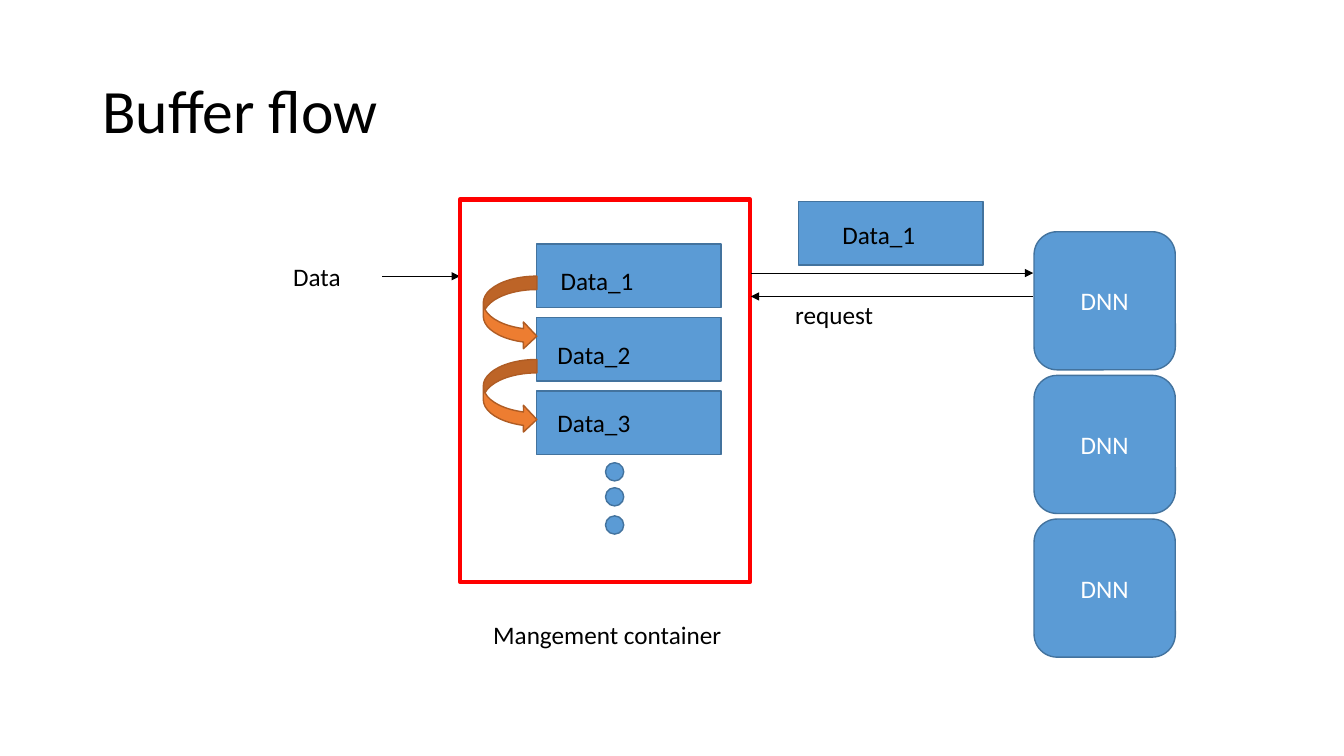
"""Build the buffer flow slide."""
from lxml import etree
from pptx import Presentation
from pptx.dml.color import RGBColor
from pptx.enum import shapes, text
from pptx.oxml.ns import qn
from pptx.util import Cm, Pt

BLACK = RGBColor(0x00, 0x00, 0x00)
WHITE = RGBColor(0xFF, 0xFF, 0xFF)
RED = RGBColor(0xFF, 0x00, 0x00)
BLUE = RGBColor(0x5B, 0x9B, 0xD5)
DARK_BLUE = RGBColor(0x43, 0x73, 0x9E)
ORANGE = RGBColor(0xED, 0x7D, 0x31)
DARK_ORANGE = RGBColor(0xAF, 0x5C, 0x24)
SHAPE = shapes.MSO_SHAPE
BOX_W, BOX_H = 4.65, 1.6


def write(sp, words, size=18, color=BLACK):
    """Put one styled paragraph in a shape and return it."""
    p = sp.text_frame.paragraphs[0]
    p.text = words
    font = p.runs[0].font
    font.name, font.size, font.color.rgb = "Calibri", Pt(size), color
    return p


def add_label(s, words, x, y, w, h=1.02, size=18):
    """Add a text box and return it."""
    sp = s.shapes.add_textbox(Cm(x), Cm(y), Cm(w), Cm(h))
    sp.text_frame.word_wrap = True
    write(sp, words, size)
    return sp


def add_block(s, kind, x, y, w, h, fill=BLUE, line=DARK_BLUE, weight=1):
    """Add a preset shape, hollow when fill is None."""
    sp = s.shapes.add_shape(kind, Cm(x), Cm(y), Cm(w), Cm(h))
    sp.shadow.inherit = False
    if fill is None:
        sp.fill.background()
    else:
        sp.fill.solid()
        sp.fill.fore_color.rgb = fill
    sp.line.color.rgb, sp.line.width = line, Pt(weight)
    return sp


def add_arrow(s, x1, x2, y):
    """Add a thin horizontal arrow pointing at x2."""
    c = s.shapes.add_connector(
        shapes.MSO_CONNECTOR.STRAIGHT, Cm(x1), Cm(y), Cm(x2), Cm(y))
    c.line.color.rgb, c.line.width = BLACK, Pt(0.5)
    etree.SubElement(c.line._get_or_add_ln(), qn("a:tailEnd"), type="triangle")
    etree.SubElement(c._element.spPr, qn("a:effectLst"))


def add_data(s, words, x, y, dx, dy):
    """Add a data box with its label offset by dx, dy."""
    add_block(s, SHAPE.RECTANGLE, x, y, BOX_W, BOX_H)
    add_label(s, words, x + dx, y + dy, 2.49)


def add_title(s, x, y, w, h):
    """Add the slide title, centred vertically."""
    tf = add_label(s, "Buffer flow", x, y, w, h, 44).text_frame
    tf.vertical_anchor = text.MSO_ANCHOR.MIDDLE
    tf.paragraphs[0].line_spacing = 0.9


def add_container(s, x, y, w, h):
    """Add the container with its queue of data boxes and its caption."""
    for i, (dx, dy) in enumerate([(0.36, 0.41), (0.28, 0.43), (0.28, 0.3)]):
        add_data(s, f"Data_{i + 1}", x + 1.93, y + 1.12 + 1.85 * i, dx, dy)
    for i in range(2):
        add_block(s, SHAPE.CURVED_RIGHT_ARROW, x + 0.59, y + 1.93 + 2.1 * i,
                  1.35, 1.85, ORANGE, DARK_ORANGE)
    for dy in (6.63, 7.26, 7.97):
        add_block(s, SHAPE.OVAL, x + 3.67, y + dy, 0.46, 0.46)
    add_block(s, SHAPE.RECTANGLE, x, y, w, h, None, RED, 3)
    add_label(s, "Mangement container", x + 0.59, y + h + 0.81, 6.48)


def add_input(s, x, y, w):
    """Add the incoming data label and its arrow."""
    add_label(s, "Data", x, y - 0.51, 1.96)
    add_arrow(s, x + 2.49, x + w, y)


def add_exchange(s, x, y, w):
    """Add the data sent to the networks and the request coming back."""
    add_data(s, "Data_1", x + 1.2, y, 0.86, 0.33)
    add_arrow(s, x, x + w, y + 1.8)
    add_arrow(s, x + w, x, y + 2.39)
    add_label(s, "request", x + 0.87, y + 2.34, 2.67)


def add_networks(s, x, y, w, h):
    """Add the column of networks."""
    for i in range(3):
        sp = add_block(s, SHAPE.ROUNDED_RECTANGLE, x, y + 3.62 * i, w, h)
        sp.text_frame.vertical_anchor = text.MSO_ANCHOR.MIDDLE
        write(sp, "DNN", color=WHITE).alignment = text.PP_ALIGN.CENTER


def main():
    """Build and save the presentation."""
    prs = Presentation()
    prs.slide_width, prs.slide_height = Cm(33.87), Cm(19.05)
    s = prs.slides.add_slide(prs.slide_layouts[6])
    add_title(s, 2.33, 1.02, 29.21, 3.68)
    add_input(s, 7.14, 6.96, 4.45)
    add_container(s, 11.59, 5.03, 7.32, 9.63)
    add_exchange(s, 18.92, 5.08, 7.12)
    add_networks(s, 26.06, 5.84, 3.56, 3.48)
    prs.save("out.pptx")


if __name__ == "__main__":
    main()
